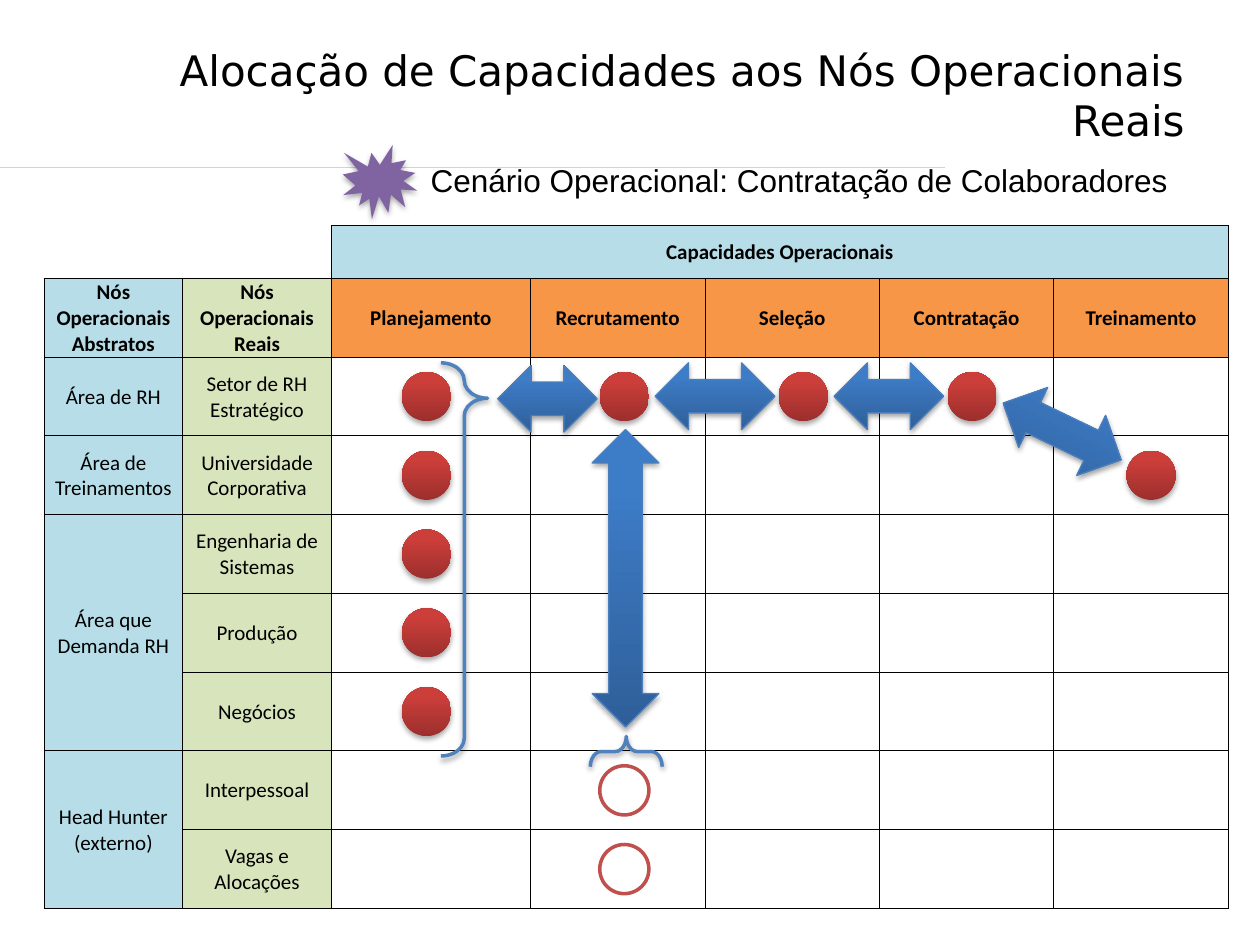
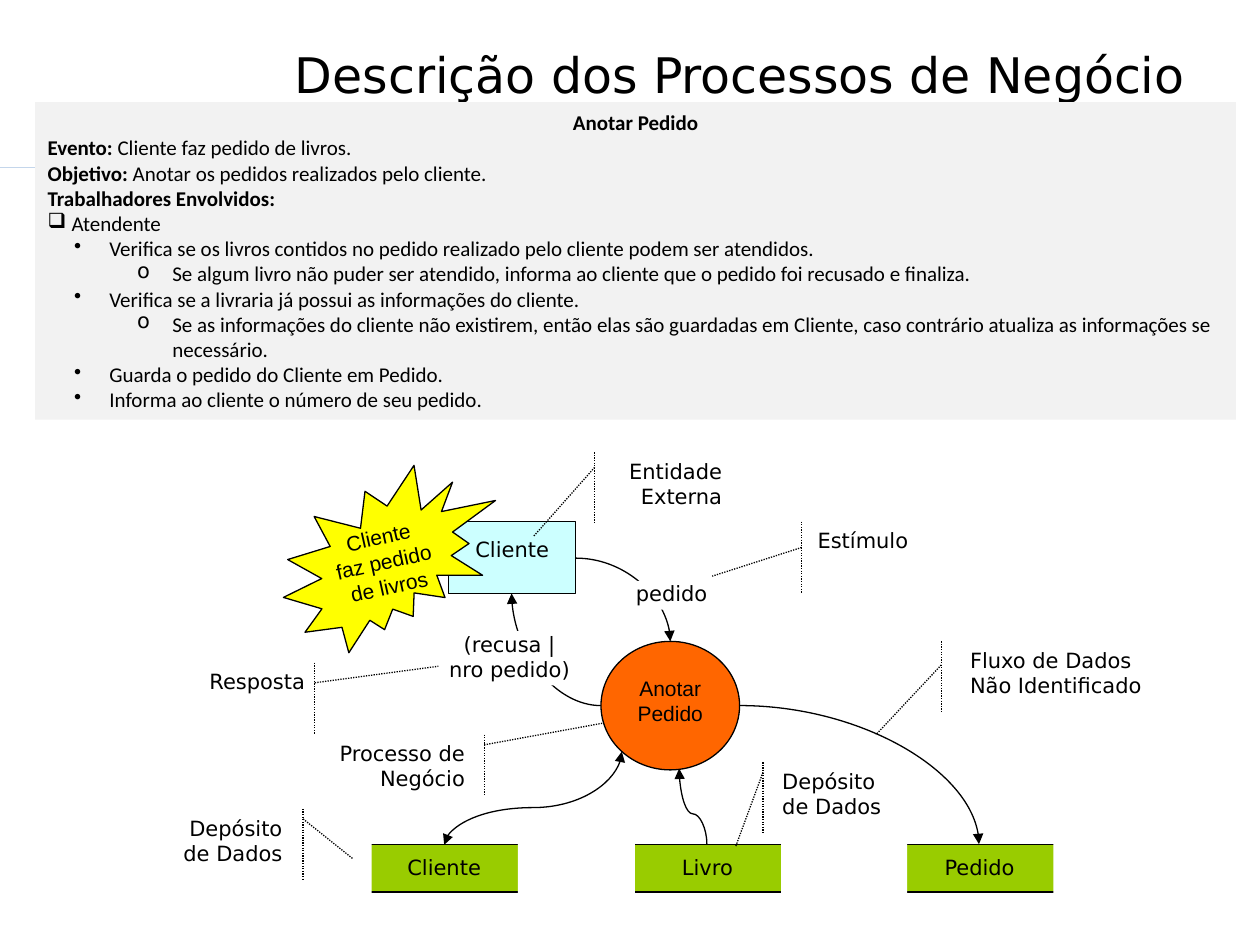
from dataclasses import dataclass

from lxml import etree
from pptx import Presentation
from pptx.dml.color import RGBColor
from pptx.enum.dml import MSO_LINE
from pptx.enum.shapes import MSO_CONNECTOR, MSO_SHAPE
from pptx.enum.text import MSO_ANCHOR, PP_ALIGN
from pptx.oxml.ns import qn
from pptx.util import Inches, Pt

LEFT, CENTER, RIGHT = PP_ALIGN.LEFT, PP_ALIGN.CENTER, PP_ALIGN.RIGHT
TOP, MIDDLE = MSO_ANCHOR.TOP, MSO_ANCHOR.MIDDLE
RECT, OVAL = MSO_SHAPE.RECTANGLE, MSO_SHAPE.OVAL
TWO_WAY = MSO_SHAPE.LEFT_RIGHT_ARROW
CALLOUT = MSO_SHAPE.LINE_CALLOUT_1_ACCENT_BAR
CURVE, STRAIGHT = MSO_CONNECTOR.CURVE, MSO_CONNECTOR.STRAIGHT


@dataclass(frozen=True)
class Theme:
    ink: str = "000000"
    paper: str = "FFFFFF"
    rule: str = "C4D6EB"
    abstract: str = "B7DEE8"
    real: str = "D8E4BC"
    capability: str = "F79646"
    red: tuple = ("9C2F2D", "CB3E3A")
    blue: tuple = ("2F5F99", "3D7CC7")
    ring: str = "C0504D"
    arrow_edge: str = "4B7EBC"
    brace: str = "4F81BD"
    scenario: str = "8064A2"
    panel: str = "F2F2F2"
    process: str = "FF6600"
    entity: str = "CCFFFF"
    store: str = "99CC00"
    event: str = "FFFF00"
    display: str = "DejaVu Sans"
    body: str = "Calibri"
    plain: str = "Arial"
    small: int = 12
    medium: int = 18
    long_title: int = 24
    title: int = 28
    thin: float = 0.75
    thick: float = 2


theme = Theme()
rgb = RGBColor.from_string


def draw(slide, preset, box, fill=None, line=None, weight=theme.thin,
         rotation=0, adjust=(), shadow=False):
    """Add a shape; a pair of colours as fill is a gradient from the bottom up."""
    shape = slide.shapes.add_shape(preset, *map(Inches, box))
    shape.rotation = rotation
    for index, value in enumerate(adjust):
        shape.adjustments[index] = value
    if isinstance(fill, tuple):
        shape.fill.gradient()
        shape.fill.gradient_angle = 90
        for stop, color, position in zip(shape.fill.gradient_stops, fill, (0, 0.8)):
            stop.color.rgb, stop.position = rgb(color), position
    elif fill:
        shape.fill.solid()
        shape.fill.fore_color.rgb = rgb(fill)
    else:
        shape.fill.background()
    if line:
        shape.line.color.rgb = rgb(line)
        shape.line.width = Pt(weight)
    else:
        shape.line.fill.background()
    shape.shadow.inherit = False
    if shadow:
        effects = shape._element.spPr.find(qn("a:effectLst"))
        outer = etree.SubElement(effects, qn("a:outerShdw"), blurRad=str(Pt(3.1)),
                                 dist=str(Pt(1.8)), dir="5400000", rotWithShape="0")
        color = etree.SubElement(outer, qn("a:srgbClr"), val=theme.ink)
        etree.SubElement(color, qn("a:alpha"), val="35000")
    return shape


def write(frame, text, font=theme.display, size=theme.small, align=CENTER,
          anchor=TOP, insets=(0.1, 0.05, 0.1, 0.05), wrap=True):
    """Fill a text frame; text before a '|' mark in a line is bold."""
    frame.word_wrap, frame.vertical_anchor = wrap, anchor
    (frame.margin_left, frame.margin_top,
     frame.margin_right, frame.margin_bottom) = map(Inches, insets)
    frame.text = text
    for paragraph in frame.paragraphs:
        paragraph.alignment = align
        paragraph.font.name, paragraph.font.size = font, Pt(size)
        paragraph.font.color.rgb = rgb(theme.ink)


prs = Presentation()
prs.slide_width, prs.slide_height = Inches(10), Inches(7.5)
slides = []
for title, size in (("Alocação de Capacidades aos Nós Operacionais Reais", theme.long_title),
                    ("Descrição dos Processos de Negócio", theme.title)):
    slide = prs.slides.add_slide(prs.slide_layouts[6])
    rule = slide.shapes.add_connector(STRAIGHT, 0, Inches(1.33), Inches(7.5), Inches(1.33))
    rule.line.color.rgb, rule.line.width = rgb(theme.rule), Pt(theme.thin)
    etree.SubElement(rule._element.spPr, qn("a:effectLst"))
    heading = slide.shapes.add_textbox(*map(Inches, (0.5, 0.3, 9, 1.25)))
    write(heading.text_frame, title, size=size, align=RIGHT)
    slides.append(slide)
allocation, process = slides

# Slide 1: capabilities against operational nodes
TABLE_TOP, BAND, ROW = 1.79, 0.42, 5 / 8
widths = [1.1, 1.18, 1.58] + [1.385] * 4
capabilities = ["Planejamento", "Recrutamento", "Seleção", "Contratação", "Treinamento"]
rows = [
    ["", "", "Capacidades Operacionais"],
    ["Nós Operacionais Abstratos", "Nós Operacionais Reais", *capabilities],
    ["Área de RH", "Setor de RH Estratégico"],
    ["Área de Treinamentos", "Universidade Corporativa"],
    ["Área que Demanda RH", "Engenharia de Sistemas"],
    ["", "Produção"],
    ["", "Negócios"],
    ["Head Hunter (externo)", "Interpessoal"],
    ["", "Vagas e Alocações"],
]
table = allocation.shapes.add_table(
    len(rows), len(widths), Inches(0.35), Inches(TABLE_TOP),
    Inches(sum(widths)), Inches(BAND + 8 * ROW)).table
table.first_row = table.horz_banding = False
for column, width in zip(table.columns, widths):
    column.width = Inches(width)
for r, texts in enumerate(rows):
    table.rows[r].height = Inches(ROW if r else BAND)
    for c in range(len(widths)):
        cell = table.cell(r, c)
        corner = r == 0 and c < 2
        sides = ("B", "LB"[c:] if c else "B")[c] if corner else "LRTB"
        if corner and c == 1:
            sides = "RB"
        for side in sides:
            border = etree.SubElement(cell._tc.get_or_add_tcPr(), qn(f"a:ln{side}"),
                                      w=str(Pt(0.5)))
            color = etree.SubElement(border, qn("a:solidFill"))
            etree.SubElement(color, qn("a:srgbClr"), val=theme.ink)
        if corner or (r > 1 and c > 1):
            cell.fill.background()
        else:
            cell.fill.solid()
            band = theme.capability if r else theme.abstract
            cell.fill.fore_color.rgb = rgb((theme.abstract, theme.real, band)[min(c, 2)])
        cell.vertical_anchor = MIDDLE
        cell.margin_left = cell.margin_top = cell.margin_right = Inches(0.01)
        cell.margin_bottom = 0
        cell.text = texts[c] if c < len(texts) else ""
        paragraph = cell.text_frame.paragraphs[0]
        paragraph.alignment = CENTER
        paragraph.font.name, paragraph.font.size = theme.body, Pt(theme.small)
        paragraph.font.bold = r < 2
        paragraph.font.color.rgb = rgb(theme.ink)
for first, last in (((0, 2), (0, 6)), ((4, 0), (6, 0)), ((7, 0), (8, 0))):
    table.cell(*first).merge(table.cell(*last))

draw(allocation, MSO_SHAPE.EXPLOSION1, (2.72, 1.15, 0.59, 0.59), theme.scenario, shadow=True)
scenario = allocation.shapes.add_textbox(*map(Inches, (3.32, 1.23, 6.17, 0.4)))
write(scenario.text_frame, "Cenário Operacional: Contratação de Colaboradores",
      theme.plain, theme.medium, LEFT)

DOT = 0.39
dot_lefts = dict(zip(capabilities, (3.19, 4.76, 6.18, 7.52, 8.94)))
node_top = TABLE_TOP + BAND + ROW + (ROW - DOT) / 2
internal = [("Planejamento", node) for node in range(5)]
internal += [("Recrutamento", 0), ("Seleção", 0), ("Contratação", 0), ("Treinamento", 1)]
for capability, node in internal:
    draw(allocation, OVAL, (dot_lefts[capability], node_top + node * ROW, DOT, DOT),
         theme.red, shadow=True)
for node in (5, 6):
    draw(allocation, OVAL, (dot_lefts["Recrutamento"], node_top + node * ROW, DOT, DOT),
         theme.paper, theme.ring, theme.thick)

for preset, box, rotation, adjust in (
        (MSO_SHAPE.LEFT_BRACE, (4.85, 5.68, 0.24, 0.57), 90, (0.36, 0.5)),
        (MSO_SHAPE.RIGHT_BRACE, (3.5, 2.88, 0.37, 3.12), 0, (0.43, 0.09))):
    draw(allocation, preset, box, None, theme.brace, theme.thick, rotation, adjust, True)
for preset, box, rotation in (
        (MSO_SHAPE.UP_DOWN_ARROW, (4.7, 3.41, 0.53, 2.36), 0),
        (TWO_WAY, (3.95, 2.9, 0.79, 0.53), 0),
        (TWO_WAY, (5.2, 2.88, 0.95, 0.53), 0),
        (TWO_WAY, (6.62, 2.88, 0.87, 0.53), 0),
        (TWO_WAY, (7.91, 3.16, 1.04, 0.53), 25.7)):
    draw(allocation, preset, box, theme.blue, theme.arrow_edge, rotation=rotation, shadow=True)

# Slide 2: description of the process, then its data flow
description = [  # outline style, bold lead, text
    ("title", "Anotar Pedido", ""),
    ("", "Evento:", " Cliente faz pedido de livros."),
    ("", "Objetivo:", " Anotar os pedidos realizados pelo cliente."),
    ("", "Trabalhadores Envolvidos:", ""),
    ("❑", "", "Atendente"),
    ("•", "", "Verifica se os livros contidos no pedido realizado pelo cliente podem ser atendidos."),
    ("o", "", "Se algum livro não puder ser atendido, informa ao cliente que o pedido foi "
              "recusado e finaliza."),
    ("•", "", "Verifica se a livraria já possui as informações do cliente."),
    ("o", "", "Se as informações do cliente não existirem, então elas são guardadas em Cliente, "
              "caso contrário atualiza as informações se necessário."),
    ("•", "", "Guarda o pedido do Cliente em Pedido."),
    ("•", "", "Informa ao cliente o número de seu pedido."),
]
outline = {"❑": (0, 0.19, 0.19), "•": (1, 0.49, 0.28), "o": (2, 0.99, 0.28)}
panel = draw(process, RECT, (0.28, 0.81, 9.53, 2.52), theme.panel)
write(panel.text_frame, "\n".join(lead + text for _, lead, text in description),
      theme.body, align=LEFT, anchor=MIDDLE)
for paragraph, (style, lead, text) in zip(panel.text_frame.paragraphs, description):
    if style == "title":
        paragraph.alignment = CENTER
    if style in outline:
        level, margin, hanging = outline[style]
        paragraph.level = level
        properties = paragraph._p.get_or_add_pPr()
        properties.set("marL", str(Inches(margin)))
        properties.set("indent", str(-Inches(hanging)))
        bullet = etree.Element(qn("a:buChar"), char=style)
        properties.insert(0, bullet)
    if lead:
        paragraph.runs[0].text = lead
        paragraph.runs[0].font.bold = True
        if text:
            paragraph.add_run().text = text

flows = [  # preset, start corner, end corner, rotation, bend, arrowheads
    ("curvedConnector3", (3.86, 5.63), (4.6, 7.04), 270, 0.4, ("headEnd", "tailEnd")),
    ("curvedConnector2", (4.57, 4.43), (5.32, 5.09), 0, None, ("tailEnd",)),
    ("curvedConnector2", (5.87, 5.6), (7.77, 6.7), 0, None, ("tailEnd",)),
    ("curvedConnector2", (4.06, 4.71), (4.77, 5.6), 180, None, ("tailEnd",)),
    ("curvedConnector3", (5.8, 6.29), (5.2, 6.51), 270, 0.6, ("headEnd",)),
]
for preset, start, end, rotation, bend, heads in flows:
    flow = process.shapes.add_connector(CURVE, *map(Inches, start + end))
    flow.line.color.rgb, flow.line.width = rgb(theme.ink), Pt(theme.thin)
    properties = flow._element.spPr
    properties.find(qn("a:xfrm")).set("rot", str(rotation * 60000))
    geometry = properties.find(qn("a:prstGeom"))
    geometry.set("prst", preset)
    if bend:
        etree.SubElement(geometry.find(qn("a:avLst")), qn("a:gd"), name="adj1",
                         fmla=f"val {round(bend * 100000)}")
    for head in heads:
        etree.SubElement(properties.find(qn("a:ln")), qn(f"a:{head}"), type="triangle")
    etree.SubElement(properties, qn("a:effectLst"))

for text, box, wrap in (("pedido", (4.69, 4.61, 1.28, 0.23), True),
                        ("(recusa |\nnro pedido)", (3.58, 5.01, 0.93, 0.43), False)):
    label = draw(process, RECT, box, theme.paper)
    write(label.text_frame, text, insets=(0, 0, 0, 0), wrap=wrap)

for preset, text, box, fill, font in (
        (OVAL, "Anotar Pedido", (4.77, 5.09, 1.1, 1.02), theme.process, theme.plain),
        (RECT, "Cliente", (3.56, 4.14, 1.01, 0.57), theme.entity, theme.display)):
    node = draw(process, preset, box, fill, theme.ink)
    write(node.text_frame, text, font, insets=(0.1, 0.12, 0.1, 0.05))

for text, left in (("Cliente", 2.92), ("Livro", 5.01), ("Pedido", 7.17)):
    store = draw(process, RECT, (left, 6.7, 1.21, 0.38), theme.store, theme.ink)
    write(store.text_frame, text, insets=(0.1, 0.08, 0.1, 0.05))
    for open_side in (left - 0.17, left + 1.19):
        draw(process, RECT, (open_side, 6.66, 0.2, 0.45), theme.paper)

callouts = [  # text, box, alignment, leader as y, x of the bar and y, x of the tip
    ("Processo de Negócio", (2.46, 5.83, 1.33, 0.48), RIGHT, (0.17, 1.04, -0.19, 1.75)),
    ("Depósito de Dados", (1.25, 6.42, 1.09, 0.57), RIGHT, (0.14, 1.06, 0.69, 1.42)),
    ("Estímulo", (6.39, 4.14, 1.42, 0.57), LEFT, (0.36, -0.02, 0.76, -0.52)),
    ("Fluxo de Dados Não Identificado", (7.6, 5.09, 1.62, 0.57), LEFT,
     (0.33, -0.08, 1.3, -0.4)),
    ("Entidade Externa", (4.82, 3.59, 1.01, 0.57), RIGHT, (0.21, -0.1, 1.17, -0.58)),
    ("Resposta", (1.43, 5.26, 1.09, 0.57), RIGHT, (0.28, 0.98, 0.05, 1.88)),
    ("Depósito de Dados", (6.11, 6.05, 1.09, 0.57), LEFT, (0.14, -0.05, 1.18, -0.25)),
]
for text, box, align, leader in callouts:
    callout = draw(process, CALLOUT, box, theme.paper, theme.ink, adjust=leader)
    callout.line.dash_style = MSO_LINE.ROUND_DOT
    write(callout.text_frame, text, align=align)

event = draw(process, MSO_SHAPE.EXPLOSION2, (2.2, 3.75, 1.81, 1.34), theme.event, theme.ink,
             rotation=347.5)
write(event.text_frame, "Cliente\nfaz pedido\nde livros", theme.plain, anchor=MIDDLE, wrap=False)

prs.save("out.pptx")
